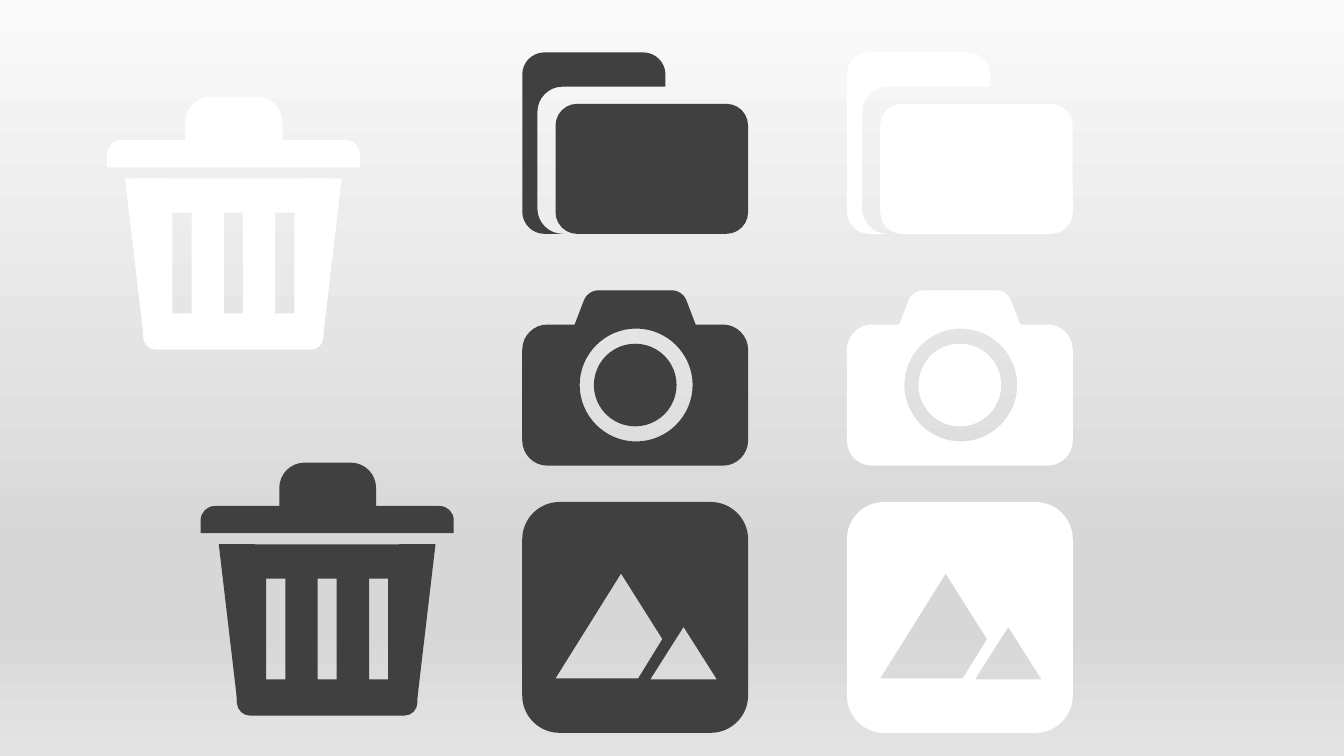
"""Builds a slide of bin, folder, camera and image icons in dark and white."""
from copy import deepcopy
from math import dist

from lxml.etree import SubElement
from pptx import Presentation
from pptx.dml.color import RGBColor
from pptx.enum.shapes import MSO_SHAPE as Preset
from pptx.oxml.ns import qn
from pptx.util import Inches

DARK = RGBColor(0x40, 0x40, 0x40)
WHITE = RGBColor(0xFF, 0xFF, 0xFF)
BACKDROP = [
    (0, RGBColor(0xFA, 0xFA, 0xFA)),
    (0.74, RGBColor(0xD7, 0xD7, 0xD7)),
    (0.83, RGBColor(0xD7, 0xD7, 0xD7)),
    (1, RGBColor(0xE4, 0xE4, 0xE4)),
]


def box(left, top, width, height, upper=0, lower=0):
    """Return a rectangle's corners as (x, y, radius)."""
    right, bottom = left + width, top + height
    return [(left, top, upper), (right, top, upper), (right, bottom, lower), (left, bottom, lower)]


BIN_SLOTS = [box(0.65 + 0.51 * slot, 0.99, 0.19, 1.34) for slot in range(3)]

# Outlines hold contours of (x, y, corner radius); presets hold (kind, box, flipped).
BIN = {
    "outlines": [
        [[(0.78, 0, 0.25), (1.74, 0, 0.25), (1.74, 0.43, 0), (2.51, 0.43, 0.14),
          (2.51, 0.7, 0), (0, 0.7, 0), (0, 0.43, 0.14), (0.78, 0.43, 0)]],
        [box(0.36, 0.81, 1.79, 1.7, lower=0.13), *BIN_SLOTS],
    ],
    "presets": [
        (Preset.RECTANGLE, (0.5, 0.9, 1.52, 0.25), False),
        (Preset.RECTANGLE, (0.36, 2.15, 1.52, 0.25), False),
        (Preset.ISOSCELES_TRIANGLE, (0.18, 0.81, 0.36, 1.53), True),
        (Preset.ISOSCELES_TRIANGLE, (1.97, 0.81, 0.36, 1.53), True),
    ],
}
FOLDER = {
    "outlines": [[[(0, 0, 0.22), (1.42, 0, 0.22), (1.42, 0.34, 0), (0.15, 0.34, 0.25),
                   (0.15, 1.8, 0.25), (0, 1.8, 0.22)]]],
    "presets": [(Preset.ROUNDED_RECTANGLE, (0.33, 0.51, 1.91, 1.29), False)],
}
FOLDER["outlines"][0][0].insert(5, (0.42, 1.8, 0))
CAMERA = {
    "outlines": [[
        [(0, 0.34, 0.25), (0.52, 0.34, 0), (0.65, 0, 0.1), (1.59, 0, 0.1),
         (1.72, 0.34, 0), (2.24, 0.34, 0.25), (2.24, 1.74, 0.25), (0, 1.74, 0.25)],
        box(0.57, 0.38, 1.12, 1.12, 0.56, 0.56),
    ]],
    "presets": [(Preset.OVAL, (0.71, 0.53, 0.82, 0.82), False)],
}
IMAGE = {
    "outlines": [[
        box(0, 0, 2.24, 2.29, 0.37, 0.37),
        [(0.98, 0.71, 0), (0.33, 1.75, 0), (1.15, 1.75, 0), (1.39, 1.36, 0)],
        [(1.6, 1.24, 0), (1.27, 1.76, 0), (1.93, 1.76, 0)],
    ]],
    "presets": [],
}

COLUMNS = [(5.18, DARK), (8.4, WHITE)]
ROWS = [(IMAGE, 4.98), (CAMERA, 2.88), (FOLDER, 0.52)]
BINS = [(BIN, 1.06, 0.96, WHITE), (BIN, 1.99, 4.59, DARK)]
ICONS = [(icon, left, top, color) for icon, top in ROWS for left, color in COLUMNS] + BINS


def toward(start, end, distance):
    """Return the point at a distance from start along the line to end."""
    share = distance / dist(start[:2], end[:2])
    return tuple(a + (b - a) * share for a, b in zip(start[:2], end[:2]))


def rounded(corners):
    """Return (point, begins_curve) pairs, where a curve begins with its first control point."""
    points = []
    for index, corner in enumerate(corners):
        radius = corner[2]
        if not radius:
            points.append((corner[:2], False))
            continue
        before, after = corners[index - 1], corners[(index + 1) % len(corners)]
        entry = toward(corner, before, radius)
        if not points or dist(entry, points[-1][0]) > 0.001:
            points.append((entry, False))
        points += [
            (toward(corner, before, radius * 0.45), True),
            (toward(corner, after, radius * 0.45), False),
            (toward(corner, after, radius), False),
        ]
    return points


def bend(outline, curve_starts):
    """Join each run of three points that begins a curve into one Bezier segment."""
    steps = [step for step in outline.element.find(".//" + qn("a:path"))
             if step.tag != qn("a:close")]
    for index, begins_curve in enumerate(curve_starts):
        if begins_curve:
            first, *others = steps[index:index + 3]
            curve = SubElement(first.getparent(), qn("a:cubicBezTo"))
            first.addprevious(curve)
            curve.append(first[0])
            first.getparent().remove(first)
            for step in others:
                curve.append(step[0])
                step.getparent().remove(step)


def paint(part, color):
    """Give a part a plain fill without line or shadow."""
    part.fill.solid()
    part.fill.fore_color.rgb = color
    part.line.fill.background()
    part.shadow.inherit = False


def draw_outline(shapes, contours, left, top, color):
    """Draw one outline with rounded corners and holes."""
    rounded_contours = [rounded(corners) for corners in contours]
    builder = None
    for contour in rounded_contours:
        start, *rest = [(Inches(left + x), Inches(top + y)) for (x, y), _ in contour]
        if builder:
            builder.move_to(*start)
        else:
            builder = shapes.build_freeform(*start)
        builder.add_line_segments(rest, close=True)
    outline = builder.convert_to_shape()
    bend(outline, [begins for contour in rounded_contours for _, begins in contour])
    paint(outline, color)


def draw_icon(shapes, icon, left, top, color):
    """Draw an icon's outlines and presets at a position."""
    if icon["presets"]:
        shapes = shapes.add_group_shape().shapes
    for contours in icon["outlines"]:
        draw_outline(shapes, contours, left, top, color)
    for kind, (x, y, width, height), flipped in icon["presets"]:
        part = shapes.add_shape(kind, Inches(left + x), Inches(top + y),
                                Inches(width), Inches(height))
        if flipped:
            part.element.find(".//" + qn("a:xfrm")).set("flipV", "1")
        paint(part, color)


def fill_background(slide):
    """Fill the slide with the vertical grey gradient."""
    fill = slide.background.fill
    fill.gradient()
    fill.gradient_angle = 270
    stop_list = slide.element.find(".//" + qn("a:gsLst"))
    while len(stop_list) < len(BACKDROP):
        stop_list.append(deepcopy(stop_list[0]))
    for stop, (position, color) in zip(fill.gradient_stops, BACKDROP):
        stop.position = position
        stop.color.rgb = color


deck = Presentation()
deck.slide_width, deck.slide_height = Inches(13.33), Inches(7.5)
icon_slide = deck.slides.add_slide(deck.slide_layouts[6])
fill_background(icon_slide)
for icon_placement in ICONS:
    draw_icon(icon_slide.shapes, *icon_placement)
deck.save("out.pptx")
